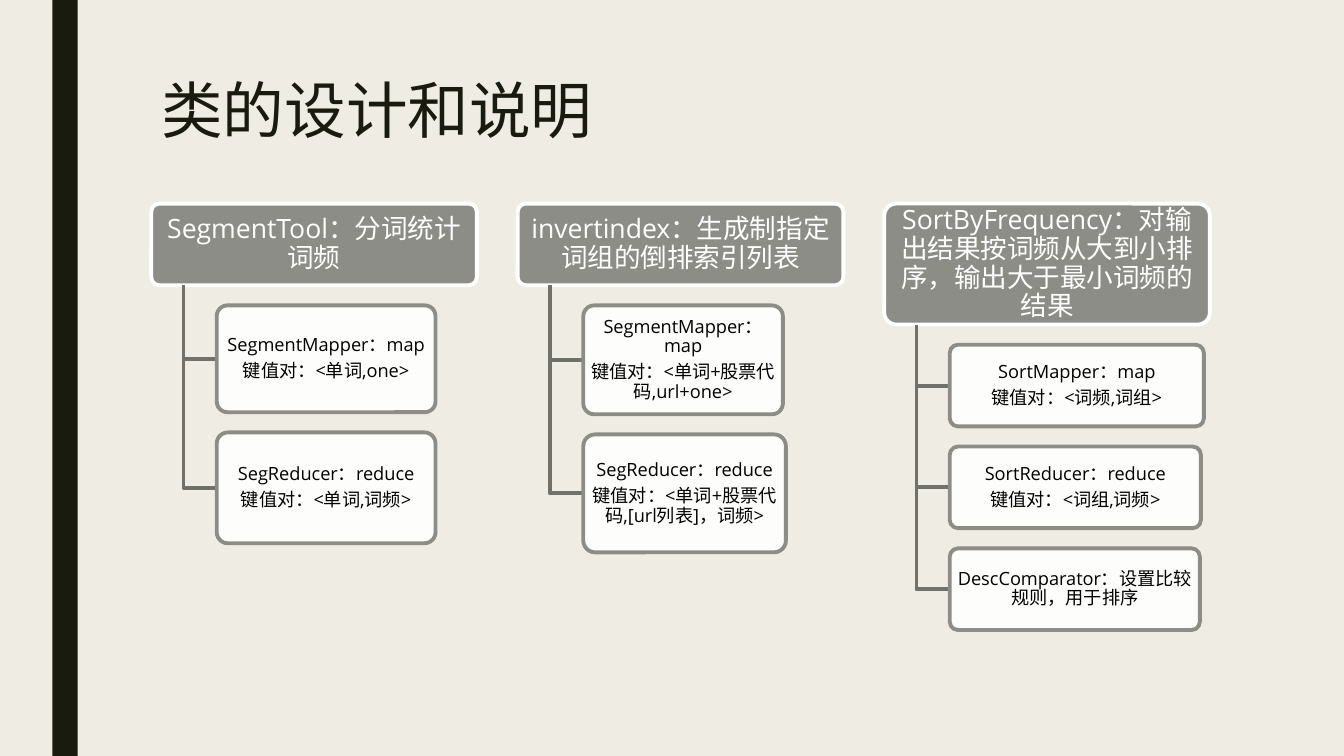
from lxml import etree
from pptx import Presentation
from pptx.dml.color import RGBColor
from pptx.enum.shapes import MSO_SHAPE
from pptx.enum.text import MSO_ANCHOR, MSO_AUTO_SIZE, PP_ALIGN
from pptx.oxml.ns import qn
from pptx.util import Inches, Pt

FONT = "Open Sans"
INK, PAPER, GREY, BRANCH = "191B0E", "EFEDE3", "8C8D86", "70716B"
WHITE, BLACK = "FFFFFF", "000000"
LINE_WIDTH = Pt(2.75)
GAP = 0.2
HEADER_WIDTH, COLUMN_PITCH = 3.23, 3.635
TRUNK_INDENT, BOX_INDENT = 0.32, 0.65

# Each column: header, header height, then (box width, box height, paragraphs)
COLUMNS = [
    ("SegmentTool：分词统计词频", 0.81, [
        (2.17, 1.06, ["SegmentMapper：map", "键值对：<单词,one>"]),
        (2.17, 1.1, ["SegReducer：reduce", "键值对：<单词,词频>"]),
    ]),
    ("invertindex：生成制指定词组的倒排索引列表", 0.81, [
        (1.98, 1.08, ["SegmentMapper：map", "键值对：<单词+股票代码,url+one>"]),
        (2.01, 1.17, ["SegReducer：reduce", "键值对：<单词+股票代码,[url列表]，词频>"]),
    ]),
    ("SortByFrequency：对输出结果按词频从大到小排序，输出大于最小词频的结果", 1.2, [
        (2.52, 0.81, ["SortMapper：map", "键值对：<词频,词组>"]),
        (2.49, 0.81, ["SortReducer：reduce", "键值对：<词组,词频>"]),
        (2.48, 0.81, ["DescComparator：设置比较规则，用于排序"]),
    ]),
]


def paint(color_format, hex_color):
    """Solid-fill a fill format with a hex colour."""
    color_format.solid()
    color_format.fore_color.rgb = RGBColor.from_string(hex_color)


def write(frame, paragraphs, size, color, align, spacing, after=0):
    """Write formatted paragraphs into a text frame."""
    frame.word_wrap = True
    frame.auto_size = MSO_AUTO_SIZE.NONE
    for i, text in enumerate(paragraphs):
        paragraph = frame.add_paragraph() if i else frame.paragraphs[0]
        paragraph.alignment = align
        paragraph.line_spacing = spacing
        paragraph.space_after = Pt(after)
        run = paragraph.add_run()
        run.text = text
        run.font.name, run.font.size = FONT, Pt(size)
        paint(run.font.fill, color)


def add_card(slide, left, top, width, height, paragraphs, size,
             fill, line, color, inset, opacity=100):
    """Add a rounded box with centred text."""
    card = slide.shapes.add_shape(
        MSO_SHAPE.ROUNDED_RECTANGLE,
        Inches(left), Inches(top), Inches(width), Inches(height))
    card.adjustments[0] = 0.1
    card.shadow.inherit = False
    paint(card.fill, fill)
    if opacity < 100:
        solid = card.fill._xPr.find(qn("a:solidFill"))
        etree.SubElement(solid[0], qn("a:alpha"), val=str(opacity * 1000))
    paint(card.line.fill, line)
    card.line.width = LINE_WIDTH
    frame = card.text_frame
    frame.margin_left = frame.margin_right = Inches(inset)
    frame.margin_top = frame.margin_bottom = Inches(inset - 0.01)
    frame.vertical_anchor = MSO_ANCHOR.MIDDLE
    write(frame, paragraphs, size, color, PP_ALIGN.CENTER, 0.9, size * 0.35)


def add_branch(slide, left, top, right, bottom):
    """Draw an L-shaped branch from a header down to a box."""
    builder = slide.shapes.build_freeform(Inches(left), Inches(top))
    builder.add_line_segments(
        [(Inches(left), Inches(bottom)), (Inches(right), Inches(bottom))],
        close=False)
    branch = builder.convert_to_shape()
    branch.shadow.inherit = False
    branch.fill.background()
    paint(branch.line.fill, BRANCH)
    branch.line.width = LINE_WIDTH


def add_column(slide, left, top, header, header_height, boxes):
    """Build one class header with its branches and boxes below."""
    add_card(slide, left, top, HEADER_WIDTH, header_height, [header], 19,
             GREY, WHITE, WHITE, 0.04)
    trunk_top = top + header_height
    box_left, box_top = left + BOX_INDENT, trunk_top + GAP
    for width, height, paragraphs in boxes:
        add_branch(slide, left + TRUNK_INDENT, trunk_top,
                   box_left, box_top + height / 2)
        add_card(slide, box_left, box_top, width, height, paragraphs, 13,
                 WHITE, GREY, BLACK, 0.03, opacity=90)
        box_top += height + GAP


def add_side_bar(slide, left, width, height):
    """Add the dark vertical bar at the left edge."""
    bar = slide.shapes.add_shape(
        MSO_SHAPE.RECTANGLE, Inches(left), 0, Inches(width), Inches(height))
    bar.shadow.inherit = False
    paint(bar.fill, INK)
    bar.line.fill.background()


def add_title(slide, text, left, top, width, height):
    """Place and format the title placeholder."""
    title = slide.shapes.title
    title.left, title.top = Inches(left), Inches(top)
    title.width, title.height = Inches(width), Inches(height)
    title.text_frame.vertical_anchor = MSO_ANCHOR.TOP
    write(title.text_frame, [text], 44, INK, PP_ALIGN.LEFT, 0.89)


def build_slide(presentation):
    """Build the class design slide."""
    slide = presentation.slides.add_slide(presentation.slide_layouts[5])
    paint(slide.background.fill, PAPER)
    add_side_bar(slide, 0.52, 0.25, 7.5)
    add_title(slide, "类的设计和说明", 1.5, 0.75, 10.5, 1.62)
    for i, column in enumerate(COLUMNS):
        add_column(slide, 1.5 + i * COLUMN_PITCH, 2.02, *column)


deck = Presentation()
deck.slide_width, deck.slide_height = Inches(13.33), Inches(7.5)
build_slide(deck)
deck.save("out.pptx")
